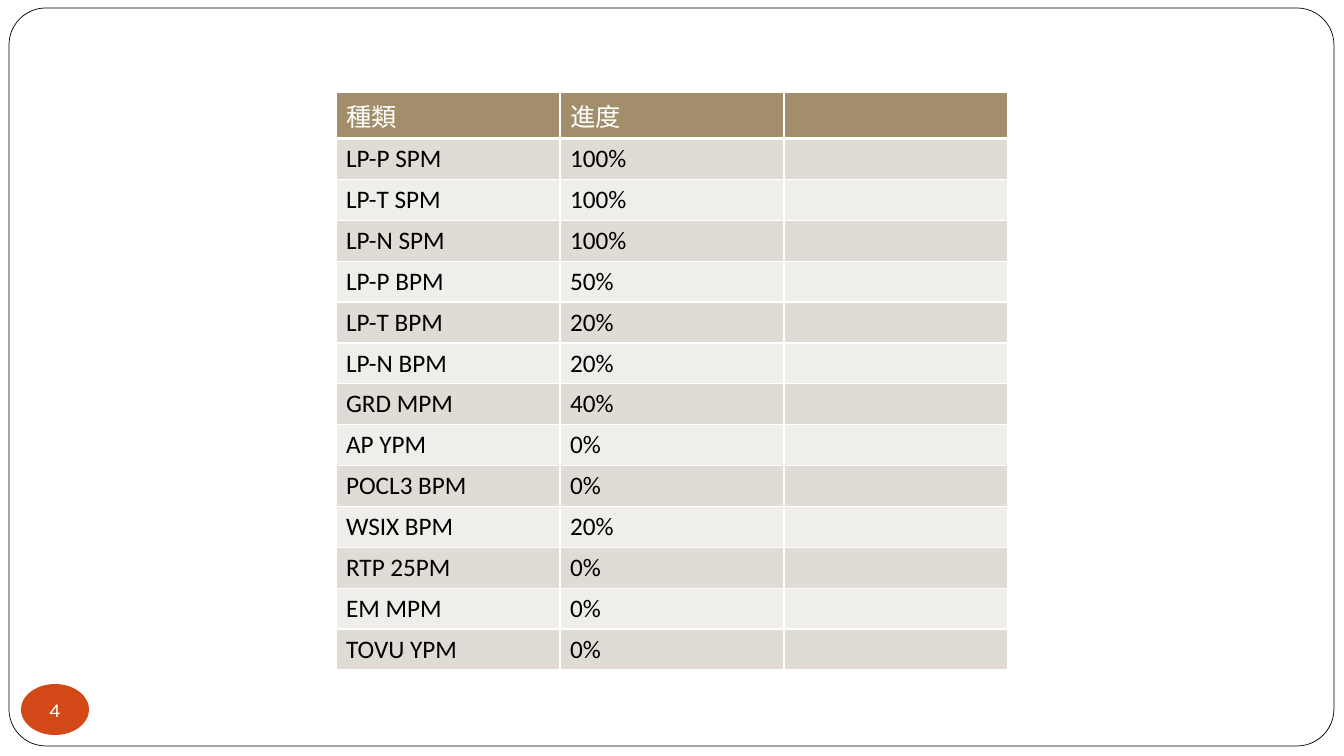
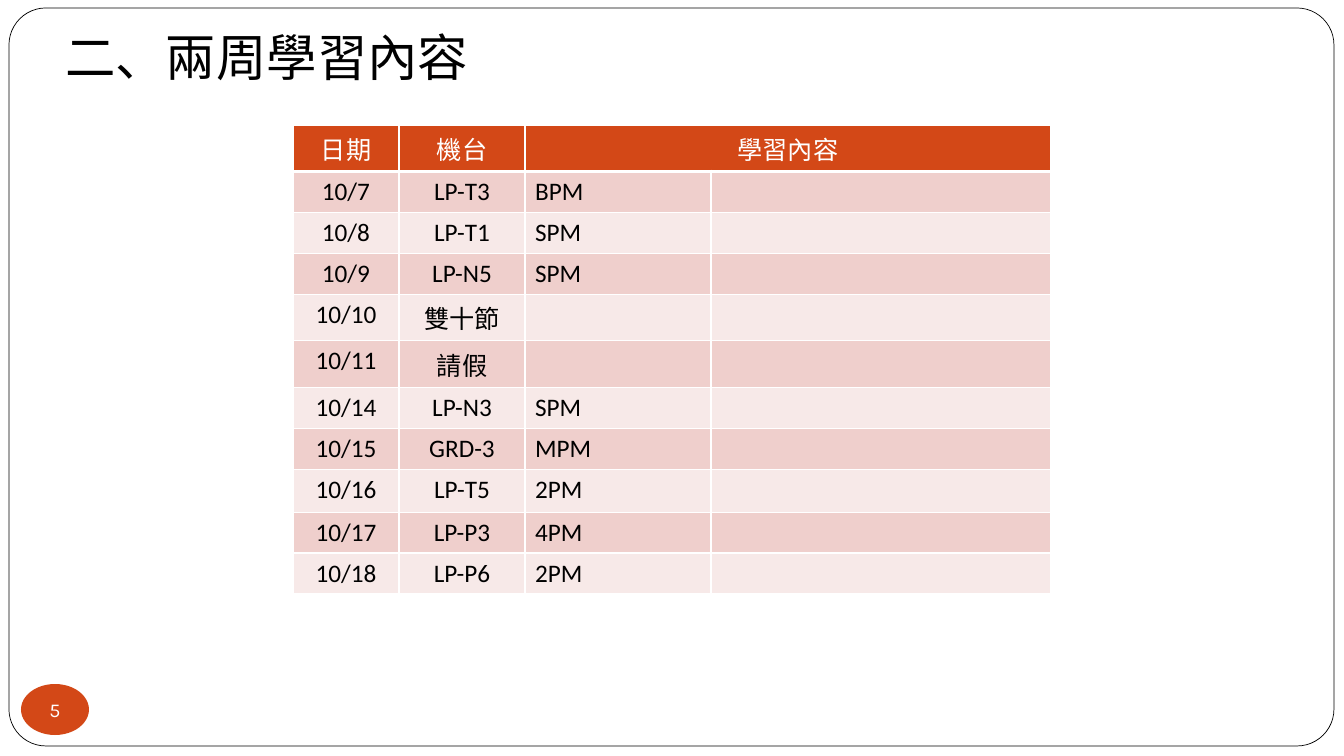
from lxml.etree import SubElement
from pptx import Presentation
from pptx.dml.color import RGBColor
from pptx.enum.shapes import MSO_SHAPE
from pptx.enum.text import MSO_ANCHOR, PP_ALIGN
from pptx.oxml.ns import qn
from pptx.util import Emu, Pt

SLIDE_WIDTH, SLIDE_HEIGHT = 1344, 756
BLACK = RGBColor(0x00, 0x00, 0x00)
WHITE = RGBColor(0xFF, 0xFF, 0xFF)
ORANGE = RGBColor(0xD3, 0x48, 0x17)
ORANGE_BANDS = (RGBColor(0xEF, 0xCF, 0xCC), RGBColor(0xF7, 0xE9, 0xE8))
TAN = RGBColor(0xA2, 0x8E, 0x6A)
TAN_BANDS = (RGBColor(0xE0, 0xDB, 0xD4), RGBColor(0xF0, 0xEE, 0xEB))
TEXT_FONT = "Calibri"
NUMBER_FONT = "Karla"
HEADER_HEIGHT, ROW_HEIGHT, TALL_ROW_HEIGHT = 46, 40, 43
TITLE_ONLY, BLANK = 5, 6

PROGRESS = [
    ("種類", "進度", ""),
    ("LP-P SPM", "100%", ""),
    ("LP-T SPM", "100%", ""),
    ("LP-N SPM", "100%", ""),
    ("LP-P BPM", "50%", ""),
    ("LP-T BPM", "20%", ""),
    ("LP-N BPM", "20%", ""),
    ("GRD MPM", "40%", ""),
    ("AP YPM", "0%", ""),
    ("POCL3 BPM", "0%", ""),
    ("WSIX BPM", "20%", ""),
    ("RTP 25PM", "0%", ""),
    ("EM MPM", "0%", ""),
    ("TOVU YPM", "0%", ""),
]
SCHEDULE = [
    ("日期", "機台", "學習內容", ""),
    ("10/7", "LP-T3", "BPM", ""),
    ("10/8", "LP-T1", "SPM", ""),
    ("10/9", "LP-N5", "SPM", ""),
    ("10/10", "雙十節", "", ""),
    ("10/11", "請假", "", ""),
    ("10/14", "LP-N3", "SPM", ""),
    ("10/15", "GRD-3", "MPM", ""),
    ("10/16", "LP-T5", "2PM", ""),
    ("10/17", "LP-P3", "4PM", ""),
    ("10/18", "LP-P6", "2PM", ""),
]


def px(length):
    return Emu(round(length * 914400 / 100.8))


def box(left, top, width, height):
    return px(left), px(top), px(width), px(height)


def style_text(paragraph, size, color, align, font=TEXT_FONT):
    paragraph.alignment = align
    paragraph.font.size = Pt(size)
    paragraph.font.name = font
    paragraph.font.bold = False
    paragraph.font.color.rgb = color


def add_frame(slide):
    frame = slide.shapes.add_shape(MSO_SHAPE.ROUNDED_RECTANGLE, *box(9, 8, 1325, 738))
    frame.adjustments[0] = 0.05
    frame.shadow.inherit = False
    frame.fill.solid()
    frame.fill.fore_color.rgb = WHITE
    frame.line.color.rgb = BLACK
    frame.line.width = Pt(0.5)


def add_page_number(slide, number):
    badge = slide.shapes.add_shape(MSO_SHAPE.OVAL, *box(21, 684, 68, 51))
    badge.shadow.inherit = False
    badge.fill.solid()
    badge.fill.fore_color.rgb = ORANGE
    badge.line.fill.background()
    label = badge.text_frame
    label.margin_left = label.margin_top = label.margin_right = label.margin_bottom = 0
    label.word_wrap = False
    label.vertical_anchor = MSO_ANCHOR.MIDDLE
    label.text = str(number)
    style_text(label.paragraphs[0], 14, WHITE, PP_ALIGN.CENTER, NUMBER_FONT)


def add_base_slide(presentation, layout, number):
    slide = presentation.slides.add_slide(presentation.slide_layouts[layout])
    add_frame(slide)
    add_page_number(slide, number)
    return slide


def set_title(slide, text, left, top, width, height):
    title = slide.shapes.title
    title.element.getparent().append(title.element)
    title.left, title.top, title.width, title.height = box(left, top, width, height)
    title.text_frame.vertical_anchor = MSO_ANCHOR.TOP
    title.text_frame.text = text
    style_text(title.text_frame.paragraphs[0], 36, BLACK, PP_ALIGN.LEFT)


def set_borders(cell, bottom_width):
    properties = cell._tc.get_or_add_tcPr()
    widths = {"a:lnL": 1, "a:lnR": 1, "a:lnT": 1, "a:lnB": bottom_width}
    for position, (side, width) in enumerate(widths.items()):
        border = SubElement(properties, qn(side), w=str(Pt(width)))
        fill = SubElement(border, qn("a:solidFill"))
        SubElement(fill, qn("a:srgbClr"), val=str(WHITE))
        properties.insert(position, border)


def add_grid(slide, rows, left, top, widths, heights, header_color, bands, centered=0):
    grid = slide.shapes.add_table(
        len(rows), len(widths), *box(left, top, sum(widths), sum(heights))
    ).table
    grid.first_row = grid.horz_banding = False
    for column, width in zip(grid.columns, widths):
        column.width = px(width)
    for row, height in zip(grid.rows, heights):
        row.height = px(height)
    for row_index, texts in enumerate(rows):
        is_header = row_index == 0
        for column_index, text in enumerate(texts):
            cell = grid.cell(row_index, column_index)
            cell.text = text
            cell.fill.solid()
            cell.fill.fore_color.rgb = header_color if is_header else bands[(row_index - 1) % 2]
            set_borders(cell, 3 if is_header else 1)
            is_centered = column_index < centered or (is_header and centered)
            style_text(
                cell.text_frame.paragraphs[0],
                18,
                WHITE if is_header else BLACK,
                PP_ALIGN.CENTER if is_centered else PP_ALIGN.LEFT,
            )
    return grid


def build_progress_slide(presentation):
    slide = add_base_slide(presentation, BLANK, 4)
    heights = [HEADER_HEIGHT] + [ROW_HEIGHT] * (len(PROGRESS) - 1)
    add_grid(slide, PROGRESS, 336, 92, [224] * 3, heights, TAN, TAN_BANDS)


def build_schedule_slide(presentation):
    slide = add_base_slide(presentation, TITLE_ONLY, 5)
    heights = [HEADER_HEIGHT] + [
        TALL_ROW_HEIGHT if date == "10/16" else ROW_HEIGHT for date, *_ in SCHEDULE[1:]
    ]
    schedule = add_grid(
        slide, SCHEDULE, 293, 125, [106, 126, 186, 340], heights, ORANGE, ORANGE_BANDS, centered=2
    )
    schedule.cell(0, 2).merge(schedule.cell(0, 3))
    set_title(slide, "二、兩周學習內容", 55, 21, 438, 72)


def main():
    presentation = Presentation()
    presentation.slide_width = px(SLIDE_WIDTH)
    presentation.slide_height = px(SLIDE_HEIGHT)
    build_progress_slide(presentation)
    build_schedule_slide(presentation)
    presentation.save("out.pptx")


if __name__ == "__main__":
    main()
